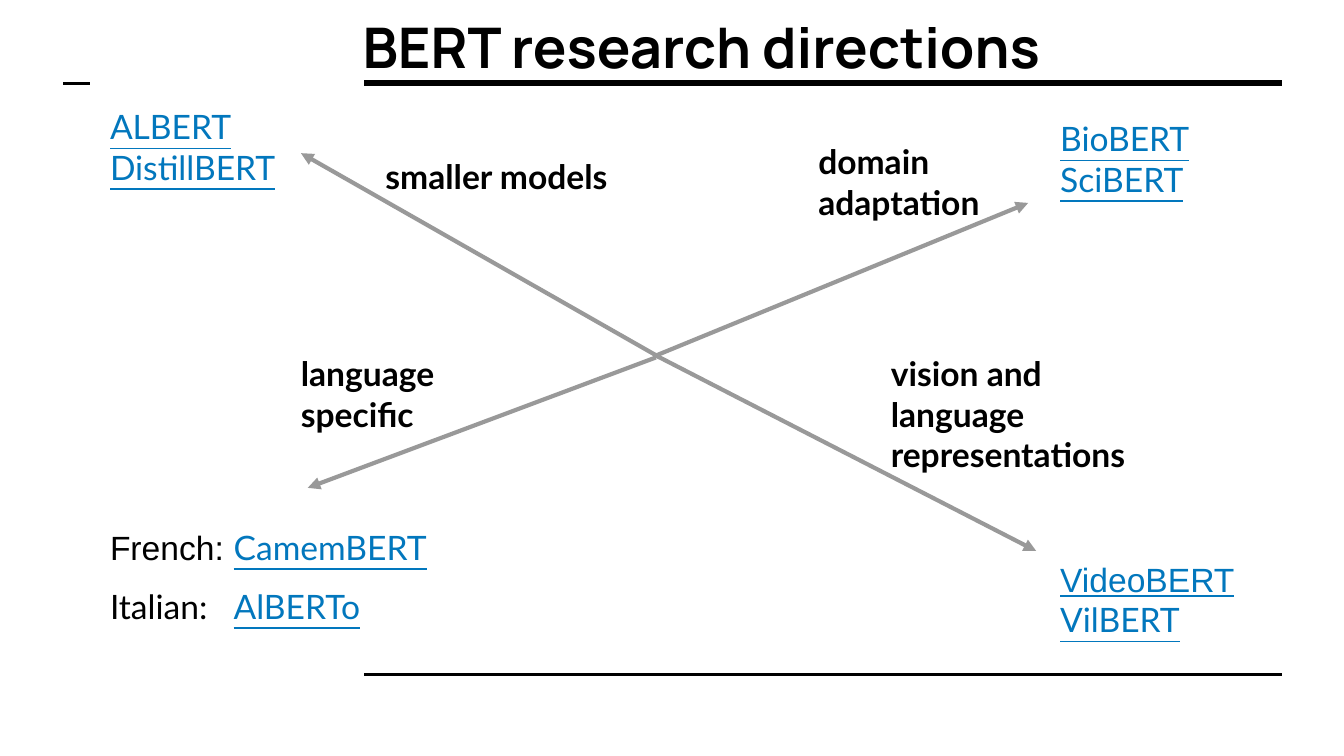
from dataclasses import dataclass

from lxml.etree import SubElement
from pptx import Presentation
from pptx.dml.color import RGBColor
from pptx.enum.shapes import MSO_CONNECTOR
from pptx.enum.text import MSO_ANCHOR
from pptx.oxml.ns import qn
from pptx.util import Inches, Pt


@dataclass(frozen=True)
class Theme:
    ink: str = "000000"
    link: str = "0277BD"
    arrow: str = "999999"
    title_font: str = "Manrope"
    body_font: str = "Lato"
    plain_font: str = "Arial"
    title_size: float = 30
    body_size: float = 18
    inset: float = 0.1


class SlideBuilder:
    def __init__(self, slide, theme):
        self.s = slide
        self.theme = theme

    def style(self, font, name=None, size=None, color=None, bold=False, underline=False):
        t = self.theme
        font.name = name or t.body_font
        font.size = Pt(size or t.body_size)
        font.color.rgb = RGBColor.from_string(color or t.ink)
        font.bold = bold
        font.underline = underline

    def frame(self, left, top, width, height):
        """Add an empty wrapped text box and return its text frame."""
        sp = self.s.shapes.add_textbox(Inches(left), Inches(top), Inches(width), Inches(height))
        tf = sp.text_frame
        tf.word_wrap = True
        tf.margin_left = tf.margin_right = Inches(self.theme.inset)
        tf.margin_top = tf.margin_bottom = Inches(self.theme.inset)
        return tf

    def paragraph(self, tf, index):
        return tf.add_paragraph() if index else tf.paragraphs[0]

    def title(self, text, *box):
        tf = self.frame(*box)
        tf.vertical_anchor = MSO_ANCHOR.MIDDLE
        p = tf.paragraphs[0]
        p.text = text
        self.style(p.font, self.theme.title_font, self.theme.title_size, bold=True)

    def label(self, text, *box):
        p = self.frame(*box).paragraphs[0]
        p.text = text
        self.style(p.font, bold=True)

    def models(self, names, *box):
        """List model names, given as (name, font) pairs, in link style."""
        tf = self.frame(*box)
        for i, (name, font) in enumerate(names):
            p = self.paragraph(tf, i)
            p.text = name
            self.style(p.font, font, color=self.theme.link, underline=True)

    def languages(self, rows, tab, gap, *box):
        """Set each language and its model in two columns split by a tab stop."""
        tf = self.frame(*box)
        for i, (language, font, model) in enumerate(rows):
            p = self.paragraph(tf, i)
            if i:
                p.space_before = Pt(gap)
            tabs = SubElement(p._p.get_or_add_pPr(), qn("a:tabLst"))
            SubElement(tabs, qn("a:tab"), pos=str(Inches(tab)), algn="l")
            r = p.add_run()
            r.text = f"{language}:\t"
            self.style(r.font, font)
            r = p.add_run()
            r.text = model
            self.style(r.font, color=self.theme.link, underline=True)

    def line(self, start, end, width, color=None, arrow=False):
        cx = self.s.shapes.add_connector(
            MSO_CONNECTOR.STRAIGHT, *(Inches(v) for v in (*start, *end)))
        cx.line.color.rgb = RGBColor.from_string(color or self.theme.ink)
        cx.line.width = Pt(width)
        if arrow:
            SubElement(cx.line._get_or_add_ln(), qn("a:tailEnd"), type="triangle")
        SubElement(cx._element.spPr, qn("a:effectLst"))

    def arrow(self, start, end):
        self.line(start, end, 2.25, self.theme.arrow, arrow=True)


def main():
    prs = Presentation()
    prs.slide_width = Inches(10)
    prs.slide_height = Inches(10 * 9 / 16)
    theme = Theme()
    b = SlideBuilder(prs.slides.add_slide(prs.slide_layouts[6]), theme)
    lato, arial = theme.body_font, theme.plain_font

    b.line((2.71, 0.62), (9.54, 0.62), 3)
    b.line((2.71, 5.02), (9.54, 5.02), 1.5)
    b.line((0.47, 0.62), (0.67, 0.62), 1.5)
    b.title("BERT research directions", 2.6, 0, 6.91, 0.69)

    b.arrow((4.87, 2.65), (7.65, 1.51))
    b.arrow((4.91, 2.66), (2.24, 1.14))
    b.arrow((4.88, 2.66), (2.29, 3.63))
    b.arrow((4.87, 2.64), (7.71, 4.1))

    b.label("smaller models", 2.77, 1.06, 1.96, 0.97)
    b.label("domain adaptation", 5.99, 0.95, 1.59, 0.38)
    b.label("language specific", 2.14, 2.53, 1.86, 0.97)
    b.label("vision and language representations", 6.53, 2.53, 2.1, 0.97)

    b.models([("ALBERT", lato), ("DistillBERT", lato)], 0.72, 0.69, 1.52, 0.91)
    b.models([("BioBERT", lato), ("SciBERT", lato)], 7.79, 0.78, 1.42, 0.91)
    b.models([("VideoBERT", arial), ("VilBERT", lato)], 7.79, 4.06, 2.1, 1.1)
    b.languages([("French", arial, "CamemBERT"), ("Italian", lato, "AlBERTo")],
                0.92, 10, 0.72, 3.82, 2.69, 1.1)

    prs.save("out.pptx")


if __name__ == "__main__":
    main()
